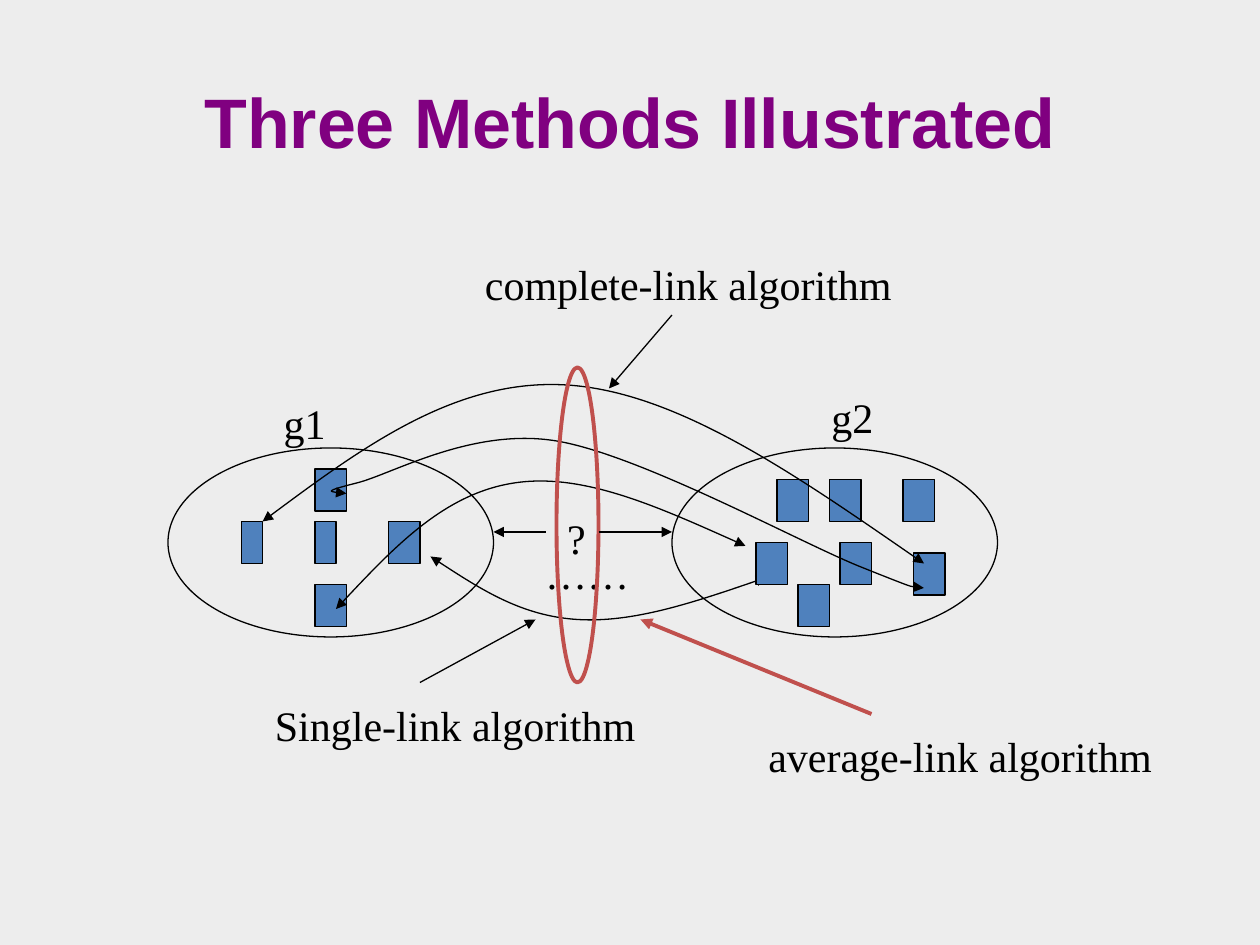
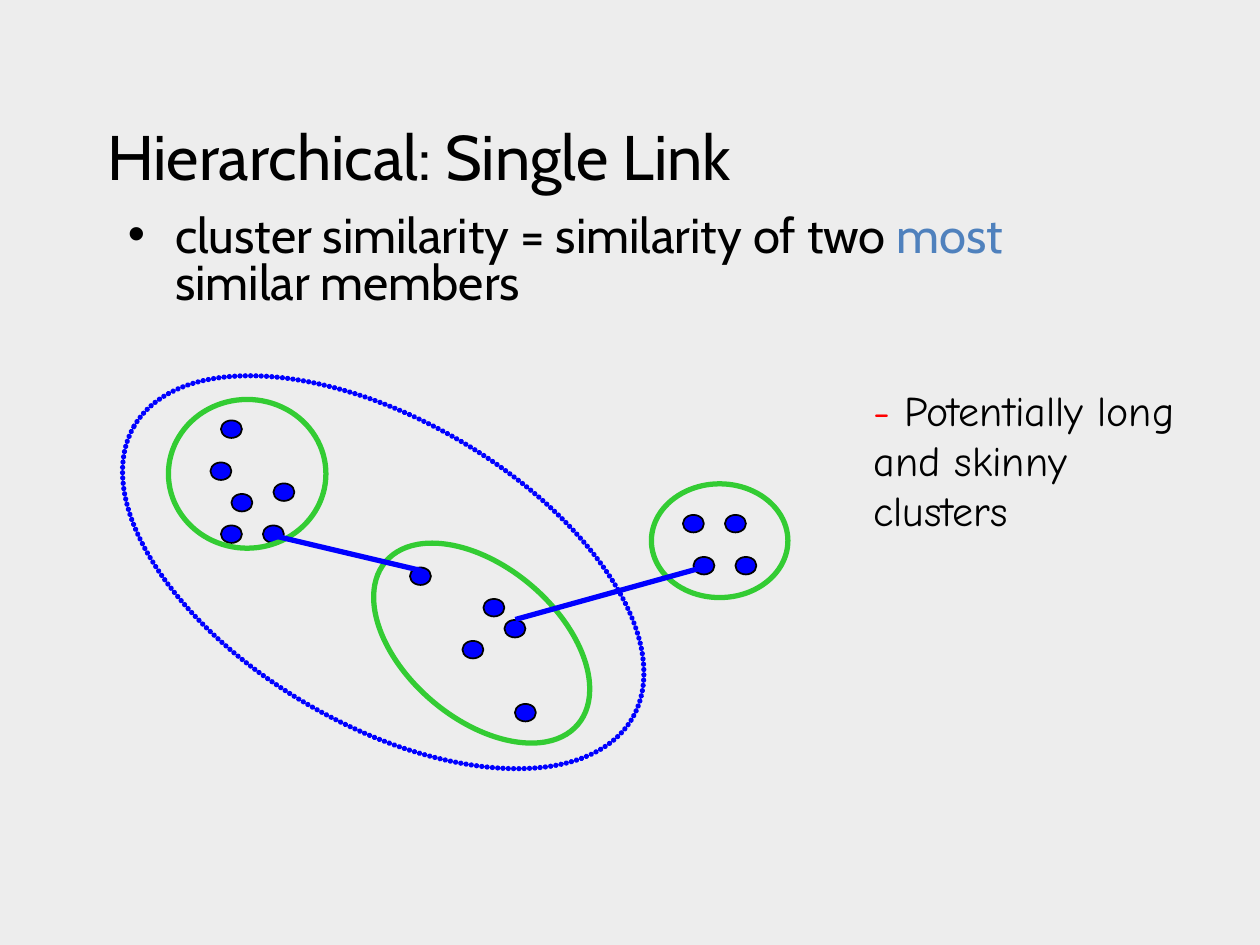
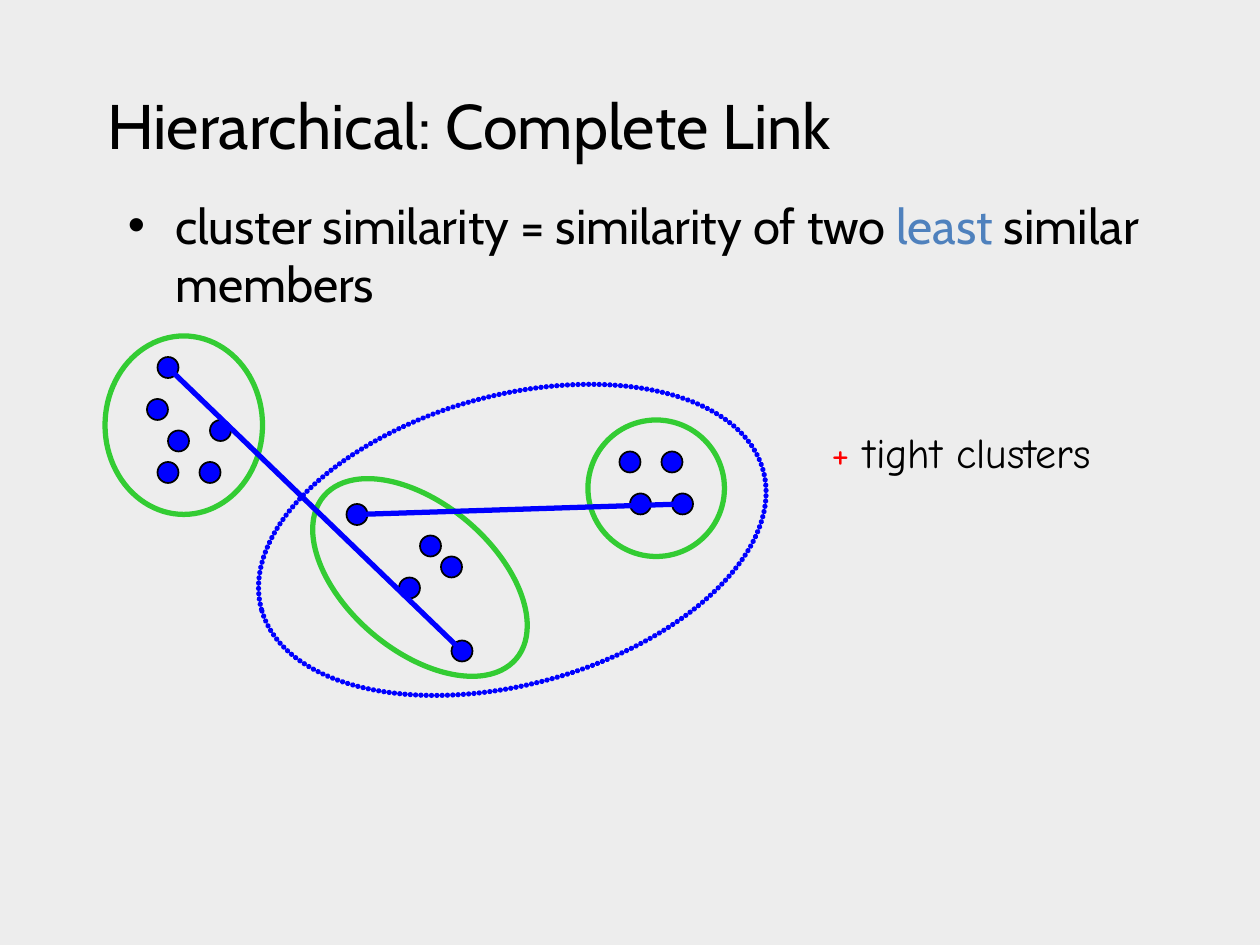
from dataclasses import dataclass
from typing import NamedTuple

import lxml.etree
import pptx
import pptx.dml.color
import pptx.enum.shapes
import pptx.enum.text
import pptx.oxml.ns
import pptx.util

Pt = pptx.util.Pt
qn = pptx.oxml.ns.qn
Align = pptx.enum.text.PP_ALIGN
Anchor = pptx.enum.text.MSO_ANCHOR
AutoSize = pptx.enum.text.MSO_AUTO_SIZE
Preset = pptx.enum.shapes.MSO_SHAPE

COLORS = {
    "page": "EDEDED",
    "ink": "000000",
    "purple": "800080",
    "steel": "4F81BD",
    "brick": "C0504D",
    "blue": "0000FF",
    "green": "33CC33",
    "red": "FF0000",
}
TITLE_ONLY = 5

Point = tuple[float, float]


class Area(NamedTuple):
    left: float
    top: float
    width: float
    height: float


class Span(NamedTuple):
    text: str
    color: str = "ink"


@dataclass
class Style:
    font: str
    size: float
    bold: bool = False


@dataclass
class Outline:
    color: str = "ink"
    width: float = 0.75
    dotted: bool = False


@dataclass
class Figure:
    area: Area
    outline: Outline
    preset: int = Preset.OVAL
    fill: str | None = None
    rotation: float = 0


@dataclass
class Arrow:
    start: Point
    end: Point
    outline: Outline


@dataclass
class LinkSlide:
    title: str
    title_area: Area
    rule: list[Span]
    rule_area: Area
    rule_spacing: float
    note: list[Span]
    note_area: Area
    dot_shift: float
    dot_height: float
    clusters: list[Area]
    merged: Area
    merged_rotation: float
    links: list[tuple[Point, Point]]


HEADING = Style("Arial", 40, True)
LINK_HEADING = Style("Cabin", 36)
RULE = Style("Cabin", 28)
NOTE = Style("Comic Neue", 24)
LABEL = Style("Times New Roman", 24)

THIN = Outline()
DOT_EDGE = Outline(width=1)
AVERAGE = Outline("brick", 2.25)
CLUSTER = Outline("green", 3)
LINK = Outline("blue", 3)
MERGED = Outline("blue", 3, dotted=True)

# Slide 1: two groups of items and the links between them
LABELS = [
    ("Single-link algorithm", Area(150, 396, 222, 36)),
    ("?", Area(317, 289.5, 26, 36)),
    ("g1", Area(155, 223.5, 40, 36)),
    ("g2", Area(468, 220, 40, 36)),
    ("complete-link algorithm", Area(270, 144, 248, 36)),
    ("……", Area(304.5, 309.5, 64, 36)),
    ("average-link algorithm", Area(432, 414, 235, 36)),
]
WIDE_ITEMS = [
    (180, 334), (180, 268), (222, 298), (444, 274), (516, 274),
    (474, 274), (432, 310), (456, 334), (522, 316), (480, 310),
]
NARROW_ITEMS = [(138, 298), (180, 298)]
GROUP_LEFTS = [96, 384]
ARROWS = [
    Arrow((240, 390), (306, 354), THIN),
    Arrow((312, 304), (282, 304), THIN),
    Arrow((342, 304), (384, 304), THIN),
    Arrow((384, 180), (348, 222), THIN),
    Arrow((498, 408), (366, 354), AVERAGE),
]
# Each curve is a start point followed by three points per cubic segment
SINGLE_LINK_CURVE = [
    (246, 318), (272, 335), (298, 352), (330, 354),
    (362, 356), (400, 343), (438, 330),
]
UPPER_CURVES = [
    [(150, 298), (205, 257), (261, 216), (324, 220),
     (387, 224), (457, 273), (528, 322)],
    [(198, 282), (191, 281.5), (184, 281), (204, 276),
     (224, 271), (270, 244), (318, 252),
     (366, 260), (457, 310), (492, 324),
     (527, 338), (528, 337), (528, 336)],
    [(192, 348), (223, 315), (254, 282), (294, 276),
     (333, 270), (379, 291), (426, 312)],
]

# Slides 2 and 3: the same dots, shifted as a whole
DOTS = [
    (198, 288), (384, 282), (258, 366), (240, 306), (360, 282),
    (378, 258), (90, 264), (84, 228), (120, 240), (96, 246),
    (114, 264), (354, 258), (90, 204), (252, 318), (228, 330),
]
DOT_WIDTH = 12
CLUSTER_ROTATIONS = [0, 0, 40.2]
LINK_SLIDES = [
    LinkSlide(
        title="Hierarchical: Single Link",
        title_area=Area(54, 36, 612, 78),
        rule=[Span("cluster similarity = similarity of two "),
              Span("most", "steel"), Span(" similar members")],
        rule_area=Area(66, 120, 558, 66),
        rule_spacing=0.8,
        note=[Span("-", "red"), Span(" Potentially long and skinny clusters")],
        note_area=Area(492, 216, 198, 94),
        dot_shift=36.25,
        dot_height=10,
        clusters=[Area(372.25, 276.5, 78, 65), Area(96.25, 228.25, 90, 85),
                  Area(203.25, 324, 144, 87)],
        merged=Area(54, 240, 330, 174),
        merged_rotation=30.4,
        links=[((156, 306), (240.5, 326)), ((402.5, 324), (294.5, 354))],
    ),
    LinkSlide(
        title="Hierarchical: Complete Link",
        title_area=Area(54, 30, 612, 66),
        rule=[Span("cluster similarity = similarity of two "),
              Span("least", "steel"), Span(" similar members")],
        rule_area=Area(66, 108, 600, 78),
        rule_spacing=1,
        note=[Span("+", "red"), Span(" tight clusters")],
        note_area=Area(468, 240, 216, 36),
        dot_shift=0,
        dot_height=12,
        clusters=[Area(336, 240, 78, 78), Area(60, 192, 90, 102),
                  Area(168, 288, 144, 84)],
        merged=Area(144, 226, 297.5, 165),
        merged_rotation=344.5,
        links=[((96, 210), (264, 372)), ((390, 288), (204, 294))],
    ),
]


def rgb(name: str) -> pptx.dml.color.RGBColor:
    return pptx.dml.color.RGBColor.from_string(COLORS[name])


def format_span(span, style: Style, color: str) -> None:
    span.font.name = style.font
    span.font.size = Pt(style.size)
    span.font.bold = style.bold
    span.font.color.rgb = rgb(color)


def fill_paragraph(para, spans: list[Span], style: Style) -> None:
    for part in spans:
        span = para.add_run()
        span.text = part.text
        format_span(span, style, part.color)


def set_title(page, text: str, area: Area, style: Style, color: str,
              align, anchor) -> None:
    title = page.shapes.title
    title.left, title.top, title.width, title.height = map(Pt, area)
    frame = title.text_frame
    frame.text = text
    frame.auto_size = AutoSize.NONE
    frame.vertical_anchor = anchor
    para = frame.paragraphs[0]
    para.alignment = align
    format_span(para.runs[0], style, color)


def add_text(page, spans: list[Span], area: Area, style: Style,
             wrap: bool = True, grow: bool = True):
    """Add a one-paragraph text box and return its paragraph."""
    frame = page.shapes.add_textbox(*map(Pt, area)).text_frame
    frame.word_wrap = wrap
    frame.auto_size = AutoSize.SHAPE_TO_FIT_TEXT if grow else AutoSize.NONE
    para = frame.paragraphs[0]
    fill_paragraph(para, spans, style)
    return para


def add_bullet(para) -> None:
    properties = para._p.get_or_add_pPr()
    properties.set("marL", str(Pt(27)))
    properties.set("indent", str(-Pt(27)))
    color = lxml.etree.SubElement(properties, qn("a:buClr"))
    lxml.etree.SubElement(color, qn("a:srgbClr"), val=COLORS["ink"])
    lxml.etree.SubElement(properties, qn("a:buFont"), typeface="Arial")
    lxml.etree.SubElement(properties, qn("a:buChar"), char="•")


def set_outline(shape, outline: Outline) -> None:
    """Colour the line; a dotted one is a row of touching round dots."""
    shape.line.color.rgb = rgb(outline.color)
    shape.line.width = Pt(outline.width)
    if outline.dotted:
        line = shape.element.spPr.find(qn("a:ln"))
        line.set("cap", "rnd")
        dash = lxml.etree.SubElement(line, qn("a:custDash"))
        lxml.etree.SubElement(dash, qn("a:ds"), d="100000", sp="1000")


def add_arrowheads(shape, *ends: str) -> None:
    line = shape.element.spPr.find(qn("a:ln"))
    for end in ends:
        lxml.etree.SubElement(line, qn(f"a:{end}"), type="triangle")


def add_figure(page, figure: Figure) -> None:
    shape = page.shapes.add_shape(figure.preset, *map(Pt, figure.area))
    shape.shadow.inherit = False
    shape.rotation = figure.rotation
    if figure.fill:
        shape.fill.solid()
        shape.fill.fore_color.rgb = rgb(figure.fill)
    else:
        shape.fill.background()
    set_outline(shape, figure.outline)


def add_line(page, start: Point, end: Point, outline: Outline):
    line = page.shapes.add_connector(
        pptx.enum.shapes.MSO_CONNECTOR.STRAIGHT, *map(Pt, start + end))
    set_outline(line, outline)
    lxml.etree.SubElement(line.element.spPr, qn("a:effectLst"))
    return line


def bend_segments(shape) -> None:
    """Turn every three straight segments of a freeform into one cubic."""
    segments = list(shape.element.spPr.iter(qn("a:lnTo")))
    for first in range(0, len(segments), 3):
        cubic = lxml.etree.Element(qn("a:cubicBezTo"))
        segments[first].addprevious(cubic)
        for segment in segments[first:first + 3]:
            cubic.append(segment[0])
            segment.getparent().remove(segment)


def add_curve(page, points: list[Point]) -> None:
    """Draw joined cubic segments with an arrowhead at both ends."""
    start, *rest = [(Pt(x), Pt(y)) for x, y in points]
    builder = page.shapes.build_freeform(*start)
    builder.add_line_segments(rest, close=False)
    curve = builder.convert_to_shape()
    bend_segments(curve)
    curve.shadow.inherit = False
    curve.fill.background()
    set_outline(curve, THIN)
    add_arrowheads(curve, "headEnd", "tailEnd")


def add_methods_slide(deck) -> None:
    page = deck.slides.add_slide(deck.slide_layouts[TITLE_ONLY])
    set_title(page, "Three Methods Illustrated", Area(54, 24, 612, 90),
              HEADING, "purple", Align.CENTER, Anchor.MIDDLE)
    add_curve(page, SINGLE_LINK_CURVE)
    for width, places in ((18, WIDE_ITEMS), (12, NARROW_ITEMS)):
        for left, top in places:
            add_figure(page, Figure(Area(left, top, width, 24), THIN,
                                    Preset.RECTANGLE, "steel"))
    for left in GROUP_LEFTS:
        add_figure(page, Figure(Area(left, 256, 186, 108), THIN))
    for text, area in LABELS:
        add_text(page, [Span(text)], area, LABEL, wrap=False)
    for points in UPPER_CURVES:
        add_curve(page, points)
    add_figure(page, Figure(Area(318, 210, 24, 180), AVERAGE))
    for arrow in ARROWS:
        line = add_line(page, arrow.start, arrow.end, arrow.outline)
        add_arrowheads(line, "tailEnd")


def add_link_slide(deck, content: LinkSlide) -> None:
    page = deck.slides.add_slide(deck.slide_layouts[TITLE_ONLY])
    set_title(page, content.title, content.title_area, LINK_HEADING, "ink",
              Align.LEFT, Anchor.BOTTOM)
    rule = add_text(page, content.rule, content.rule_area, RULE, grow=False)
    add_bullet(rule)
    rule.line_spacing = content.rule_spacing
    for left, top in DOTS:
        area = Area(left + content.dot_shift, top + content.dot_shift,
                    DOT_WIDTH, content.dot_height)
        add_figure(page, Figure(area, DOT_EDGE, fill="blue"))
    for area, rotation in zip(content.clusters, CLUSTER_ROTATIONS):
        add_figure(page, Figure(area, CLUSTER, rotation=rotation))
    for start, end in content.links:
        add_line(page, start, end, LINK)
    add_figure(page, Figure(content.merged, MERGED,
                            rotation=content.merged_rotation))
    add_text(page, content.note, content.note_area, NOTE)


def main() -> None:
    deck = pptx.Presentation()
    deck.slide_width, deck.slide_height = Pt(720), Pt(540)
    background = deck.slide_master.background.fill
    background.solid()
    background.fore_color.rgb = rgb("page")
    add_methods_slide(deck)
    for content in LINK_SLIDES:
        add_link_slide(deck, content)
    deck.save("out.pptx")


if __name__ == "__main__":
    main()
